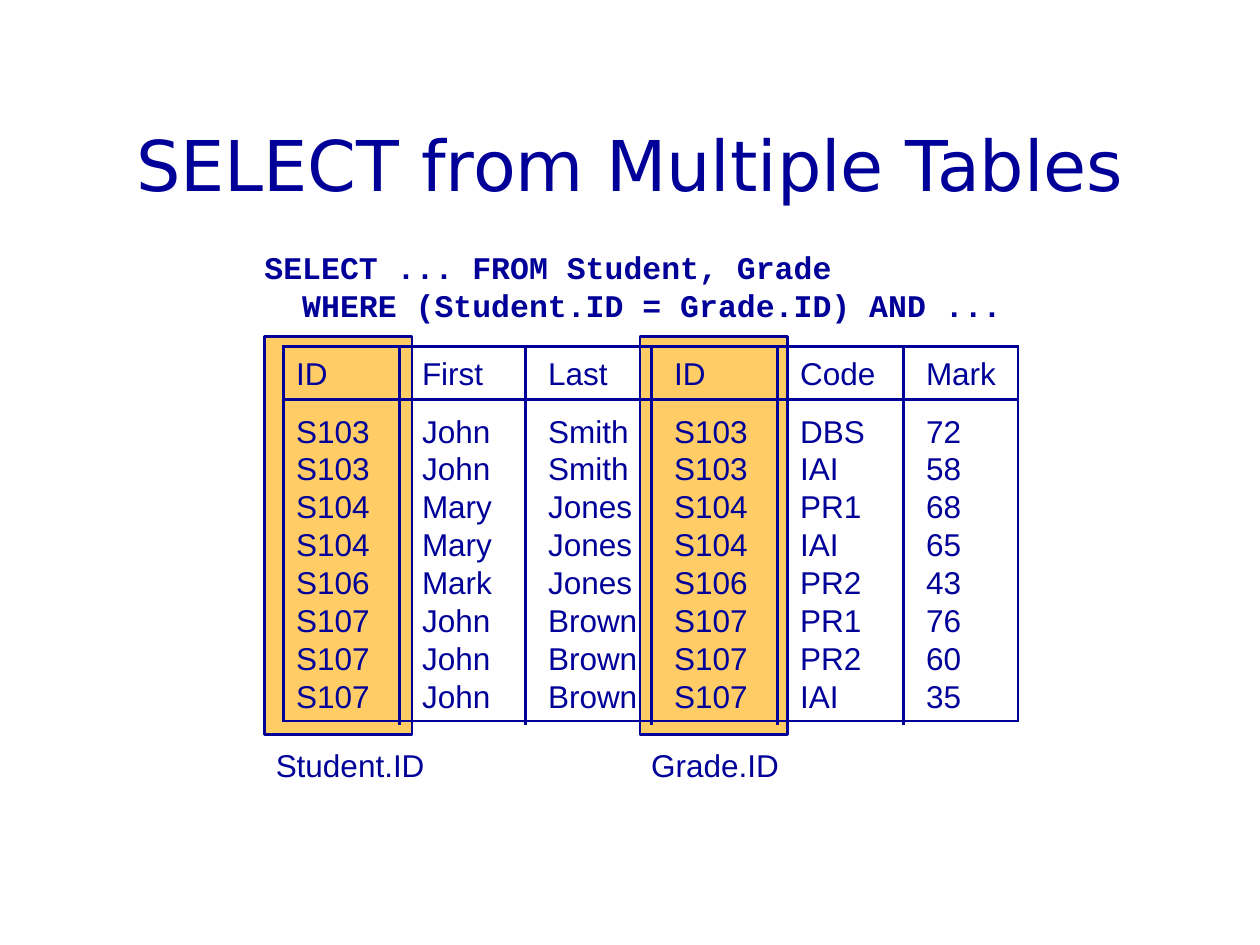
from pptx import Presentation
from pptx.dml.color import RGBColor
from pptx.enum.shapes import MSO_CONNECTOR, MSO_SHAPE
from pptx.enum.text import MSO_ANCHOR, PP_ALIGN
from pptx.util import Inches, Pt
from lxml import etree
from itertools import accumulate

NAVY = "000099"
AMBER = "FFCC66"
DRAWING = "http://schemas.openxmlformats.org/drawingml/2006/main"

ROWS = [
    ["ID", "First", "Last", "ID", "Code", "Mark"],
    ["S103", "John", "Smith", "S103", "DBS", "72"],
    ["S103", "John", "Smith", "S103", "IAI", "58"],
    ["S104", "Mary", "Jones", "S104", "PR1", "68"],
    ["S104", "Mary", "Jones", "S104", "IAI", "65"],
    ["S106", "Mark", "Jones", "S106", "PR2", "43"],
    ["S107", "John", "Brown", "S107", "PR1", "76"],
    ["S107", "John", "Brown", "S107", "PR2", "60"],
    ["S107", "John", "Brown", "S107", "IAI", "35"],
]
COLUMN_WIDTHS = [0.92, 1, 1, 1, 1, 0.91]
HEADER_HEIGHT, ROW_HEIGHT = 0.42, 0.3
TOP_GAP, BOTTOM_GAP = 0.11, 0.04
RULE_OVERHANG = 0.03


def rgb(value):
    return RGBColor.from_string(value)


def format_text(text_frame, font_name, size, bold=False):
    for paragraph in text_frame.paragraphs:
        for run in paragraph.runs:
            run.font.name = font_name
            run.font.size = Pt(size)
            run.font.bold = bold
            run.font.color.rgb = rgb(NAVY)


def format_line(line):
    line.color.rgb = rgb(NAVY)
    line.width = Pt(1.5)


def add_title(slide, left, top, width, height):
    title = slide.shapes.title
    title.left, title.top = Inches(left), Inches(top)
    title.width, title.height = Inches(width), Inches(height)
    title.text_frame.text = "SELECT from Multiple Tables"
    title.text_frame.vertical_anchor = MSO_ANCHOR.MIDDLE
    title.text_frame.paragraphs[0].alignment = PP_ALIGN.CENTER
    format_text(title.text_frame, "DejaVu Sans", 40)


def add_text(slide, text, left, top, width, height, font_name="Arial", bold=False):
    box = slide.shapes.add_textbox(
        Inches(left), Inches(top), Inches(width), Inches(height))
    box.text_frame.word_wrap = False
    box.text_frame.text = text
    format_text(box.text_frame, font_name, 18, bold)


def add_key_highlight(slide, label, left, top, width, height):
    """Mark a key column with a filled box and a caption below it."""
    box = slide.shapes.add_shape(
        MSO_SHAPE.RECTANGLE, Inches(left), Inches(top), Inches(width), Inches(height))
    box.shadow.inherit = False
    box.fill.solid()
    box.fill.fore_color.rgb = rgb(AMBER)
    format_line(box.line)
    add_text(slide, label, left - 0.01, top + height + 0.04, 1.38, 0.4)


def add_rule(slide, x1, y1, x2, y2):
    rule = slide.shapes.add_connector(
        MSO_CONNECTOR.STRAIGHT, Inches(x1), Inches(y1), Inches(x2), Inches(y2))
    format_line(rule.line)
    etree.SubElement(rule._element.spPr, f"{{{DRAWING}}}effectLst")


def set_borders(cell, visible_sides):
    properties = cell._tc.get_or_add_tcPr()
    for index, side in enumerate("LRTB"):
        line = etree.Element(f"{{{DRAWING}}}ln{side}", w=str(Pt(1.5)))
        if side in visible_sides:
            fill = etree.SubElement(line, f"{{{DRAWING}}}solidFill")
            etree.SubElement(fill, f"{{{DRAWING}}}srgbClr", val=NAVY)
        else:
            etree.SubElement(line, f"{{{DRAWING}}}noFill")
        properties.insert(index, line)


def add_join_table(slide, left, top, width, height):
    """Add a framed table, with inner rules that run past the frame's foot."""
    last_row, last_column = len(ROWS) - 1, len(COLUMN_WIDTHS) - 1
    table = slide.shapes.add_table(
        len(ROWS), len(COLUMN_WIDTHS),
        Inches(left), Inches(top), Inches(width), Inches(height)).table
    table.first_row = table.horz_banding = False
    for column, column_width in zip(table.columns, COLUMN_WIDTHS):
        column.width = Inches(column_width)
    for row_index, values in enumerate(ROWS):
        gap_above = {0: 0.02, 1: TOP_GAP}.get(row_index, 0)
        gap_below = BOTTOM_GAP if row_index == last_row else 0
        row_height = ROW_HEIGHT + gap_above + gap_below
        table.rows[row_index].height = Inches(row_height if row_index else HEADER_HEIGHT)
        for column_index, value in enumerate(values):
            cell = table.cell(row_index, column_index)
            cell.text_frame.text = value
            cell.text_frame.word_wrap = False
            format_text(cell.text_frame, "Arial", 18)
            cell.vertical_anchor = MSO_ANCHOR.MIDDLE
            cell.margin_left = Inches(0.18 if column_index else 0.1)
            cell.margin_right = 0
            cell.margin_top = Inches(gap_above)
            cell.margin_bottom = Inches(gap_below)
            cell.fill.background()
            set_borders(cell, {0: "T", last_row: "B"}.get(row_index, "")
                        + {0: "L", last_column: "R"}.get(column_index, ""))
    for offset in accumulate(COLUMN_WIDTHS[:-1]):
        add_rule(slide, left + offset, top, left + offset, top + height + RULE_OVERHANG)
    add_rule(slide, left, top + HEADER_HEIGHT, left + width, top + HEADER_HEIGHT)


def main():
    presentation = Presentation()
    presentation.slide_width = Inches(10)
    presentation.slide_height = Inches(7.5)
    slide = presentation.slides.add_slide(presentation.slide_layouts[5])
    add_title(slide, 0.75, 0.67, 8.5, 1.25)
    add_text(slide,
             "SELECT ... FROM Student, Grade\n"
             "  WHERE (Student.ID = Grade.ID) AND ...",
             2, 1.92, 6.05, 0.7, "Courier New", bold=True)
    for label, left in (("Student.ID", 2.1), ("Grade.ID", 5.08)):
        add_key_highlight(slide, label, left, 2.67, 1.17, 3.16)
    add_join_table(slide, 2.25, 2.75, 5.83, 2.97)
    presentation.save("out.pptx")


if __name__ == "__main__":
    main()
